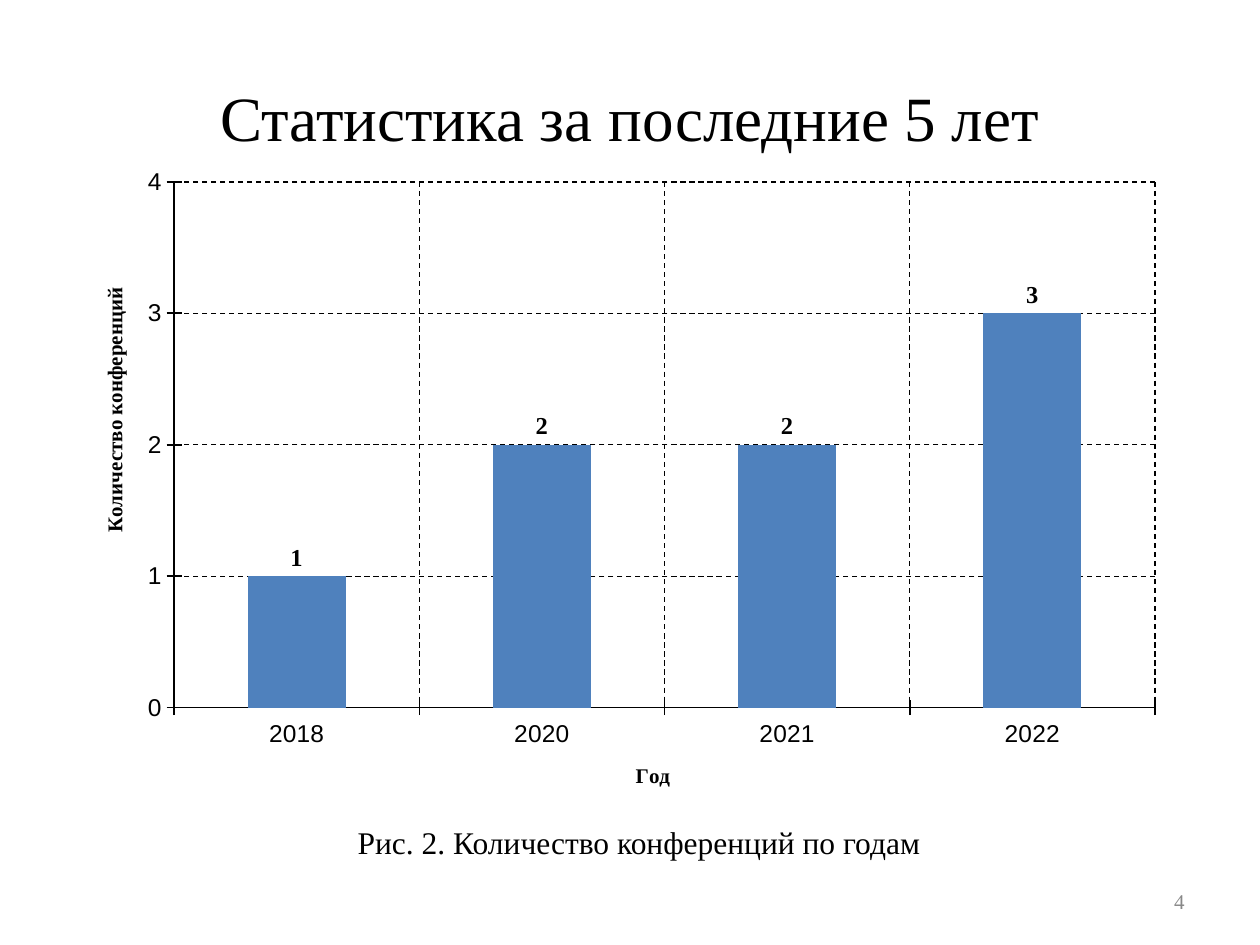
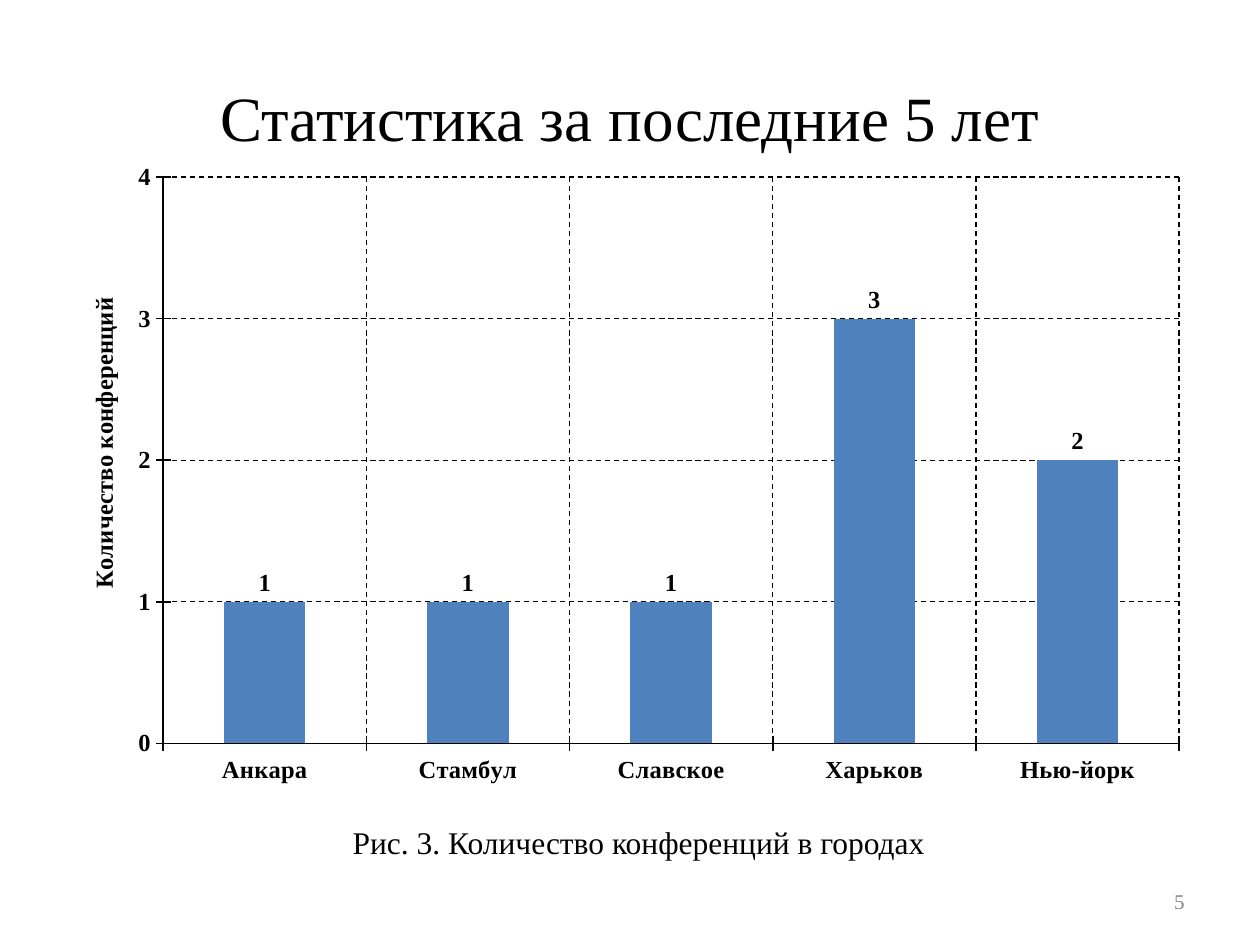
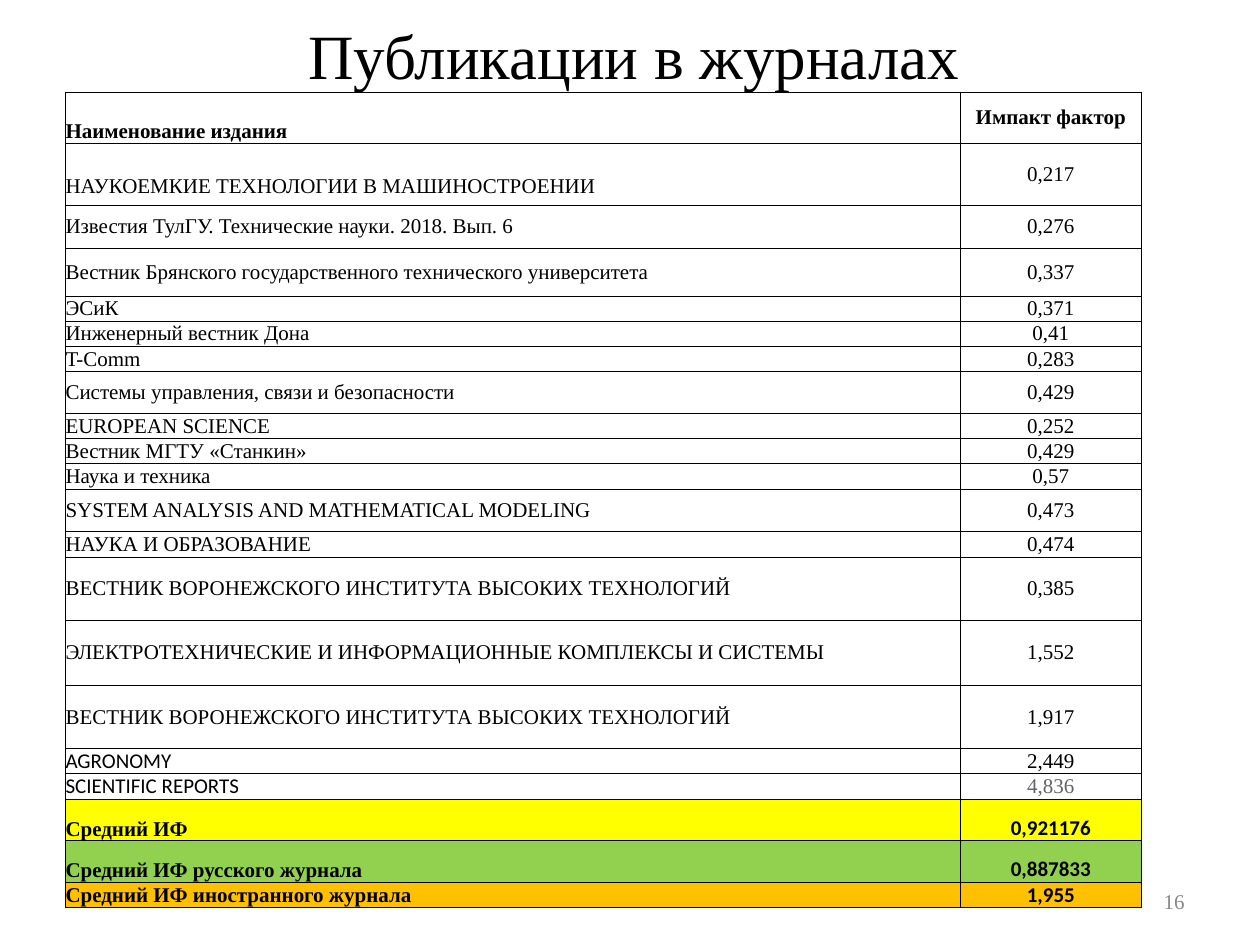
import pptx
import pptx.chart.data
import pptx.dml.color
import pptx.enum.chart
import pptx.enum.dml
import pptx.enum.text
import pptx.oxml.ns
import pptx.util
from lxml import etree

Inches = pptx.util.Inches
Pt = pptx.util.Pt
RGBColor = pptx.dml.color.RGBColor
Align = pptx.enum.text.PP_ALIGN
Anchor = pptx.enum.text.MSO_ANCHOR
qn = pptx.oxml.ns.qn

BLACK = RGBColor(0x00, 0x00, 0x00)
GRAY = RGBColor(0x88, 0x88, 0x88)
DARK_GRAY = RGBColor(0x64, 0x64, 0x64)
BLUE = RGBColor(0x4F, 0x81, 0xBD)
YELLOW = RGBColor(0xFF, 0xFF, 0x00)
GREEN = RGBColor(0x92, 0xD0, 0x50)
ORANGE = RGBColor(0xFF, 0xC0, 0x00)

SERIF = "Times New Roman"
TITLE_FONT = {"name": SERIF, "size": Pt(36), "color": BLACK}
NUMBER_FONT = {"name": SERIF, "size": Pt(12), "color": GRAY}
CAPTION_FONT = {"name": SERIF, "size": Pt(18), "color": BLACK}
CELL_FONT = {"name": SERIF, "size": Pt(12), "color": BLACK, "bold": False}
AXIS_TITLE_FONT = {"name": SERIF, "size": Pt(12), "color": BLACK, "bold": True}
LABEL_FONT = {"name": SERIF, "size": Pt(14), "color": BLACK, "bold": True}
TICK_FONT = {"name": "Arial", "size": Pt(14), "color": BLACK, "bold": False}

STATISTICS_TITLE = "Статистика за последние 5 лет"
COUNT_TITLE = "Количество конференций"

JOURNALS = [
    ("НАУКОЕМКИЕ ТЕХНОЛОГИИ В МАШИНОСТРОЕНИИ", "0,217", 0.49),
    ("Известия ТулГУ. Технические науки. 2018. Вып. 6", "0,276", 0.34),
    ("Вестник Брянского государственного технического университета", "0,337", 0.38),
    ("ЭСиК", "0,371", 0.2),
    ("Инженерный вестник Дона", "0,41", 0.2),
    ("T-Comm", "0,283", 0.2),
    ("Системы управления, связи и безопасности", "0,429", 0.33),
    ("EUROPEAN SCIENCE", "0,252", 0.2),
    ("Вестник МГТУ «Станкин»", "0,429", 0.2),
    ("Наука и техника", "0,57", 0.2),
    ("SYSTEM ANALYSIS AND MATHEMATICAL MODELING", "0,473", 0.34),
    ("НАУКА И ОБРАЗОВАНИЕ", "0,474", 0.2),
    ("ВЕСТНИК ВОРОНЕЖСКОГО ИНСТИТУТА ВЫСОКИХ ТЕХНОЛОГИЙ", "0,385", 0.5),
    ("ЭЛЕКТРОТЕХНИЧЕСКИЕ И ИНФОРМАЦИОННЫЕ КОМПЛЕКСЫ И СИСТЕМЫ", "1,552", 0.52),
    ("ВЕСТНИК ВОРОНЕЖСКОГО ИНСТИТУТА ВЫСОКИХ ТЕХНОЛОГИЙ", "1,917", 0.5),
    ("AGRONOMY", "2,449", 0.2),
    ("SCIENTIFIC REPORTS", "4,836", 0.2),
]
AVERAGES = [
    ("Средний ИФ", "0,921176", 0.33, YELLOW),
    ("Средний ИФ русского журнала", "0,887833", 0.33, GREEN),
    ("Средний ИФ иностранного журнала", "1,955", 0.2, ORANGE),
]


def set_attributes(target, values):
    for name, value in values.items():
        setattr(target, name, value)


def set_font(font, values):
    for name, value in values.items():
        if name == "color":
            font.color.rgb = value
        else:
            setattr(font, name, value)


def write_text(text_frame, text, font, alignment):
    paragraph = text_frame.paragraphs[0]
    paragraph.alignment = alignment
    run = paragraph.add_run()
    run.text = text
    set_font(run.font, font)


def add_text_box(slide, box, text, font, alignment, frame_format):
    shape = slide.shapes.add_textbox(*map(Inches, box))
    set_attributes(shape.text_frame, frame_format)
    write_text(shape.text_frame, text, font, alignment)


def add_titled_slide(presentation, title, number, left=0.5, top=0.3):
    slide = presentation.slides.add_slide(presentation.slide_layouts[5])
    shape = slide.shapes.title
    set_attributes(shape, {"left": Inches(left), "top": Inches(top),
                           "width": Inches(9), "height": Inches(1.25)})
    shape.text_frame.vertical_anchor = Anchor.MIDDLE
    write_text(shape.text_frame, title, TITLE_FONT, Align.CENTER)
    add_text_box(slide, (7.17, 6.95, 2.33, 0.4), str(number), NUMBER_FONT, Align.RIGHT,
                 {"word_wrap": True, "vertical_anchor": Anchor.MIDDLE})
    return slide


def add_caption(slide, left, width, text):
    add_text_box(slide, (left, 6.48, width, 0.4), text, CAPTION_FONT, Align.JUSTIFY,
                 {"word_wrap": False,
                  "auto_size": pptx.enum.text.MSO_AUTO_SIZE.SHAPE_TO_FIT_TEXT})


def set_layout(parent, index, values):
    layout = parent.find(qn("c:layout"))
    if layout is None:
        layout = parent.makeelement(qn("c:layout"))
        parent.insert(index, layout)
    manual = etree.SubElement(layout, qn("c:manualLayout"))
    for name, value in values.items():
        etree.SubElement(manual, qn("c:" + name)).set("val", str(value))


def set_plot_layout(chart, x, y, width, height):
    plot_area = chart.element.find(".//" + qn("c:plotArea"))
    set_layout(plot_area, 0, {"layoutTarget": "inner", "xMode": "edge", "yMode": "edge",
                              "x": x, "y": y, "w": width, "h": height})


def set_axis_title(axis, text, font, x, y):
    title = axis.axis_title
    write_text(title.text_frame, text, font, Align.CENTER)
    set_layout(title.element, 1, {"xMode": "edge", "yMode": "edge", "x": x, "y": y})


def format_axis(axis, font):
    set_attributes(axis, {"has_major_gridlines": True,
                          "major_tick_mark": pptx.enum.chart.XL_TICK_MARK.CROSS})
    set_font(axis.tick_labels.font, font)
    axis.format.line.color.rgb = BLACK
    axis.format.line.width = Pt(1)
    grid = axis.major_gridlines.format.line
    grid.color.rgb = BLACK
    set_attributes(grid, {"width": Pt(0.75),
                          "dash_style": pptx.enum.dml.MSO_LINE.DASH})


def add_column_chart(slide, box, categories, values, tick_font):
    data = pptx.chart.data.CategoryChartData()
    data.categories = categories
    data.add_series("Series 1", values)
    chart = slide.shapes.add_chart(pptx.enum.chart.XL_CHART_TYPE.COLUMN_CLUSTERED,
                                   *map(Inches, box), data).chart
    set_attributes(chart, {"has_title": False, "has_legend": False})
    set_font(chart.font, tick_font)
    for axis in (chart.category_axis, chart.value_axis):
        format_axis(axis, tick_font)
    set_attributes(chart.value_axis, {"minimum_scale": 0, "maximum_scale": 4,
                                      "major_unit": 1})
    plot = chart.plots[0]
    set_attributes(plot, {"gap_width": 150, "vary_by_categories": False,
                          "has_data_labels": True})
    labels = plot.data_labels
    set_attributes(labels, {"show_value": True,
                            "position": pptx.enum.chart.XL_LABEL_POSITION.OUTSIDE_END})
    set_font(labels.font, LABEL_FONT)
    fill = plot.series[0].format.fill
    fill.solid()
    fill.fore_color.rgb = BLUE
    return chart


def add_borders(cell):
    properties = cell._tc.get_or_add_tcPr()
    for side in ("lnL", "lnR", "lnT", "lnB"):
        line = etree.SubElement(properties, qn("a:" + side), w=str(Pt(0.5)))
        fill = etree.SubElement(line, qn("a:solidFill"))
        etree.SubElement(fill, qn("a:srgbClr"), val=str(BLACK))


def fill_cell(cell, text, alignment, anchor, color=None, **font):
    set_attributes(cell, {"margin_left": 0, "margin_right": 0, "margin_top": 0,
                          "margin_bottom": 0, "vertical_anchor": anchor})
    write_text(cell.text_frame, text, CELL_FONT | font, alignment)
    add_borders(cell)
    if color is None:
        cell.fill.background()
    else:
        cell.fill.solid()
        cell.fill.fore_color.rgb = color


def add_journal_table(slide):
    heights = [0.41] + [row[2] for row in JOURNALS + AVERAGES]
    table = slide.shapes.add_table(len(heights), 2, Inches(0.52), Inches(0.73),
                                   Inches(8.54), Inches(sum(heights))).table
    set_attributes(table, {"first_row": False, "horz_banding": False})
    for column, width in zip(table.columns, (7.1, 1.44)):
        column.width = Inches(width)
    for row, height in zip(table.rows, heights):
        row.height = Inches(height)

    fill_cell(table.cell(0, 0), "Наименование издания", Align.LEFT, Anchor.BOTTOM, bold=True)
    fill_cell(table.cell(0, 1), "Импакт фактор", Align.CENTER, Anchor.MIDDLE, bold=True)
    for index, (journal, factor, _) in enumerate(JOURNALS, 1):
        name_font = "Calibri" if journal in ("AGRONOMY", "SCIENTIFIC REPORTS") else SERIF
        fill_cell(table.cell(index, 0), journal, Align.LEFT, Anchor.MIDDLE, name=name_font)
        fill_cell(table.cell(index, 1), factor, Align.CENTER, Anchor.MIDDLE)
    table.cell(1, 0).margin_top = Inches(0.19)
    last_factor = table.cell(len(JOURNALS), 1).text_frame.paragraphs[0].runs[0]
    last_factor.font.color.rgb = DARK_GRAY
    for index, (label, factor, _, color) in enumerate(AVERAGES, len(JOURNALS) + 1):
        fill_cell(table.cell(index, 0), label, Align.LEFT, Anchor.BOTTOM, color, bold=True)
        fill_cell(table.cell(index, 1), factor, Align.CENTER, Anchor.BOTTOM, color,
                  bold=True, name="Calibri")


def add_years_slide(presentation):
    slide = add_titled_slide(presentation, STATISTICS_TITLE, 4)
    add_caption(slide, 2.74, 4.75, "Рис. 2. Количество конференций по годам")
    chart = add_column_chart(slide, (0.69, 1.19, 8.65, 5.11),
                             ("2018", "2020", "2021", "2022"), (1, 2, 2, 3), TICK_FONT)
    set_plot_layout(chart, 0.08, 0.05, 0.9, 0.82)
    set_axis_title(chart.category_axis, "Год", AXIS_TITLE_FONT, 0.5, 0.95)
    set_axis_title(chart.value_axis, COUNT_TITLE, AXIS_TITLE_FONT, 0.01, 0.21)


def add_cities_slide(presentation):
    slide = add_titled_slide(presentation, STATISTICS_TITLE, 5)
    add_caption(slide, 2.7, 4.82, "Рис. 3. Количество конференций в городах")
    cities = ("Анкара", "Стамбул", "Славское", "Харьков", "Нью-йорк")
    chart = add_column_chart(slide, (0.48, 1.2, 9.06, 5.11), cities,
                             (1, 1, 1, 3, 2), LABEL_FONT)
    set_plot_layout(chart, 0.09, 0.04, 0.89, 0.88)
    set_axis_title(chart.value_axis, COUNT_TITLE, LABEL_FONT, 0.02, 0.22)


def add_journals_slide(presentation):
    slide = add_titled_slide(presentation, "Публикации в журналах", 16, 0.53, -0.19)
    add_journal_table(slide)


def main():
    presentation = pptx.Presentation()
    set_attributes(presentation, {"slide_width": Inches(10), "slide_height": Inches(7.5)})
    add_years_slide(presentation)
    add_cities_slide(presentation)
    add_journals_slide(presentation)
    presentation.save("out.pptx")


if __name__ == "__main__":
    main()
